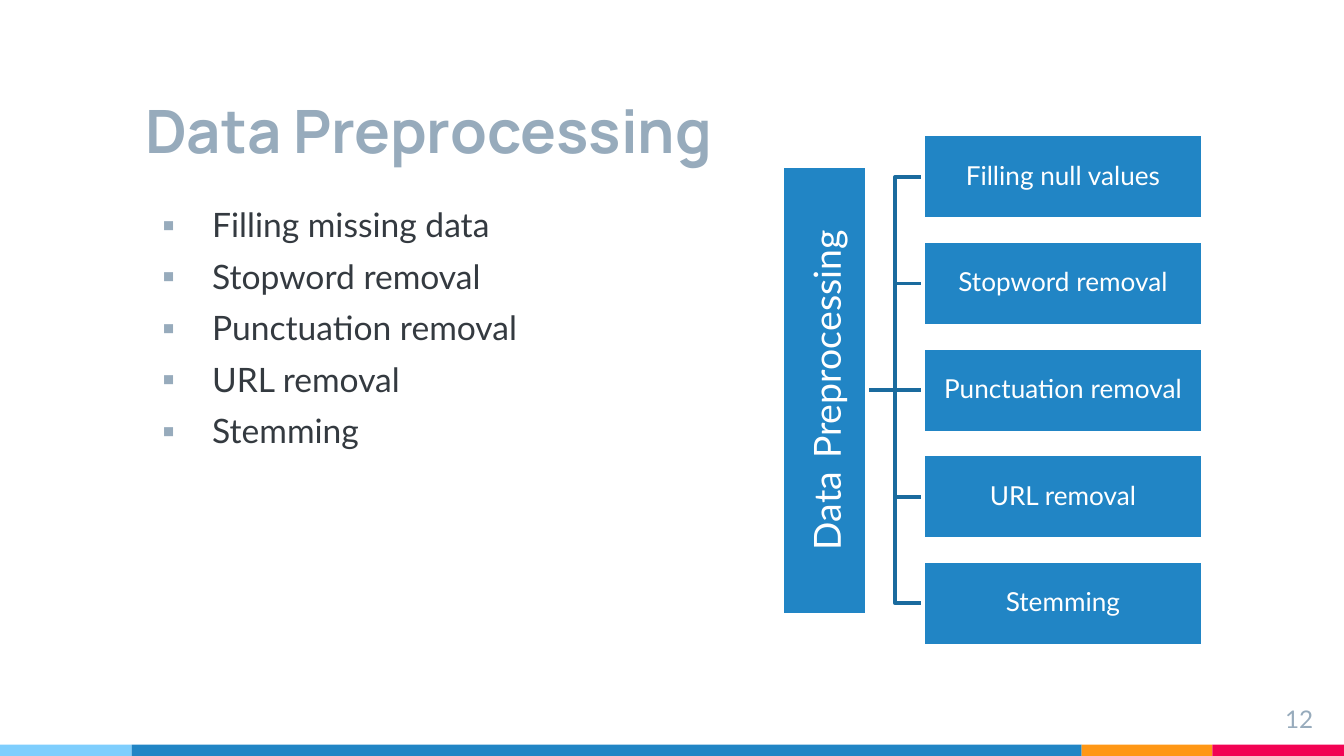
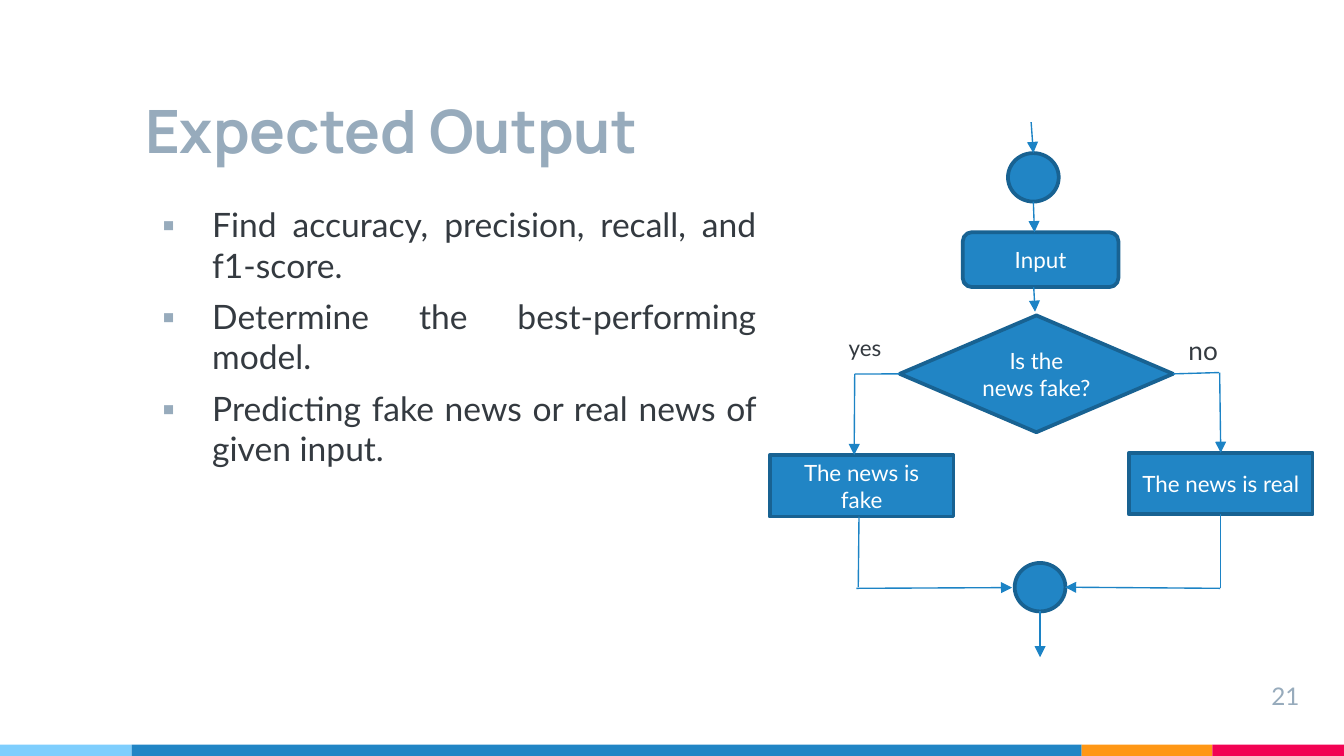
from dataclasses import dataclass
from typing import Optional

from lxml import etree
from pptx import Presentation
from pptx import util as u
from pptx.dml.color import RGBColor
from pptx.enum import shapes, text
from pptx.oxml.ns import qn

BLUE = RGBColor(0x21, 0x85, 0xC5)
TREE_BLUE = RGBColor(0x1A, 0x6B, 0x9E)
EDGE_BLUE = RGBColor(0x18, 0x62, 0x92)
ARROW_BLUE = RGBColor(0x1C, 0x83, 0xC5)
SKY = RGBColor(0x7E, 0xCE, 0xFD)
ORANGE = RGBColor(0xFF, 0x97, 0x15)
RED = RGBColor(0xF2, 0x02, 0x53)
GREY = RGBColor(0x97, 0xAB, 0xBC)
DARK = RGBColor(0x34, 0x3A, 0x40)
WHITE = RGBColor(0xFF, 0xFF, 0xFF)

TITLE_FONT, BODY_FONT = "Manrope", "Lato"
ALIGN, ANCHOR = text.PP_ALIGN, text.MSO_ANCHOR
KIND = shapes.MSO_SHAPE
TOP, LEFT, BOTTOM, RIGHT = range(4)

MARGIN, COLUMN_WIDTH = 70.5, 509
BANDS = ((SKY, 70.5), (BLUE, 509), (ORANGE, 70), (RED, 70.5))
BAND_TOP, BAND_HEIGHT = 399, 6

# Tree of preprocessing steps
STEP_LEFT, STEP_TOP, STEP_WIDTH, STEP_HEIGHT, STEP_PITCH = 494.6, 72.1, 149.8, 45.4, 57.1
TREE_LEFT, BAR_LENGTH = 464.4, 240.5


@dataclass(frozen=True)
class Box:
    left: float
    top: float
    width: float
    height: float


@dataclass(frozen=True)
class Node:
    name: str
    kind: KIND
    area: Box
    label: str = ""


@dataclass(frozen=True)
class Join:
    node: str
    site: int


@dataclass(frozen=True)
class Link:
    start: tuple[float, float]
    finish: tuple[float, float]
    arrow: bool = True
    begin: Optional[Join] = None
    end: Optional[Join] = None


@dataclass(frozen=True)
class Label:
    words: str
    area: Box
    size: float


NODES = (
    Node("entry", KIND.OVAL, Box(540, 82, 27.2, 26)),
    Node("input", KIND.ROUNDED_RECTANGLE, Box(515.8, 124.4, 83.4, 29.4), "Input"),
    Node("question", KIND.DIAMOND, Box(482, 169, 146.4, 62.6), "Is the news fake?"),
    Node("fake", KIND.RECTANGLE, Box(412.4, 243.8, 98.4, 33), "The news is fake"),
    Node("real", KIND.RECTANGLE, Box(604.8, 242.6, 98.4, 33), "The news is real"),
    Node("exit", KIND.OVAL, Box(543.6, 301.6, 27.2, 26)),
)
LINKS = (
    Link((552.4, 65.4), (553.6, 82), end=Join("entry", TOP)),
    Link((553.6, 108), (554.2, 124.4)),
    Link((553.8, 153.8), (554.5, 167)),
    Link((482, 200.3), (457.9, 200.4), False, begin=Join("question", LEFT)),
    Link((457.9, 200.4), (457.6, 243.8)),
    Link((653, 199.6), (628.4, 200.3), False, end=Join("question", RIGHT)),
    Link((653.4, 199.6), (654, 242.6), end=Join("real", TOP)),
    Link((459.8, 314.6), (460.2, 276.8), False),
    Link((458.8, 315.2), (542.2, 314.8)),
    Link((653.6, 315.2), (570.6, 314.6)),
    Link((654, 315.2), (654, 275.6), False, end=Join("real", BOTTOM)),
    Link((557.2, 327.6), (557.2, 352.1)),
)
LABELS = (
    Label("yes", Box(447.6, 175.2, 34, 21.8), 12),
    Label("no", Box(629.6, 175.7, 34, 24.2), 14),
)


def place(shape, area: Box) -> None:
    shape.left, shape.top = u.Pt(area.left), u.Pt(area.top)
    shape.width, shape.height = u.Pt(area.width), u.Pt(area.height)


def pad(frame, across: float, down: float) -> None:
    frame.margin_left = frame.margin_right = u.Pt(across)
    frame.margin_top = frame.margin_bottom = u.Pt(down)


def add_span(para, words: str, size: float, color: RGBColor,
             font: str = BODY_FONT, bold: bool = False) -> None:
    span = para.add_run()
    span.text = words
    span.font.size, span.font.name, span.font.bold = u.Pt(size), font, bold
    span.font.color.rgb = color


def add_block(page, kind: KIND, area: Box, fill: RGBColor,
              edge: Optional[RGBColor] = None):
    """Add a filled shape; it has a 2 pt outline only if an edge colour is given."""
    block = page.shapes.add_shape(kind, *map(u.Pt, (area.left, area.top, area.width, area.height)))
    block.shadow.inherit = False
    block.fill.solid()
    block.fill.fore_color.rgb = fill
    if edge is None:
        block.line.fill.background()
    else:
        block.line.color.rgb = edge
        block.line.width = u.Pt(2)
    return block


def center_text(block):
    """Prepare a shape for centred text and return its paragraph."""
    frame = block.text_frame
    frame.word_wrap = True
    frame.vertical_anchor = ANCHOR.MIDDLE
    para = frame.paragraphs[0]
    para.alignment = ALIGN.CENTER
    return para


def add_label(page, label: Label, color: RGBColor = DARK, align: ALIGN = ALIGN.LEFT):
    area = label.area
    box = page.shapes.add_textbox(*map(u.Pt, (area.left, area.top, area.width, area.height)))
    box.text_frame.word_wrap = True
    para = box.text_frame.paragraphs[0]
    para.alignment = align
    add_span(para, label.words, label.size, color)
    return box


def add_line(page, start: tuple[float, float], finish: tuple[float, float],
             color: RGBColor, width: float, arrow: bool = False):
    line = page.shapes.add_connector(shapes.MSO_CONNECTOR.STRAIGHT, *map(u.Pt, start + finish))
    line.line.color.rgb = color
    line.line.width = u.Pt(width)
    properties = line.element.spPr
    if arrow:
        etree.SubElement(properties.find(qn("a:ln")), qn("a:tailEnd"), type="triangle")
    etree.SubElement(properties, qn("a:effectLst"))
    return line


def add_bullet(para) -> None:
    properties = para._p.get_or_add_pPr()
    properties.set("marL", str(u.Pt(36)))
    properties.set("indent", str(u.Pt(-27)))
    color = etree.SubElement(properties, qn("a:buClr"))
    etree.SubElement(color, qn("a:srgbClr"), val=str(GREY))
    etree.SubElement(properties, qn("a:buFont"), typeface=BODY_FONT)
    etree.SubElement(properties, qn("a:buChar"), char="▪")


def add_page(deck, title: str, items: tuple[str, ...], body_width: float,
             align: ALIGN, number: Label):
    """Add a slide with colour bands, title, bulleted list and page number."""
    page = deck.slides.add_slide(deck.slide_layouts[1])
    left = 0
    for color, width in BANDS:
        add_block(page, KIND.RECTANGLE, Box(left, BAND_TOP, width, BAND_HEIGHT), color)
        left += width

    heading, body = page.shapes.title, page.placeholders[1]
    place(heading, Box(MARGIN, 28, COLUMN_WIDTH, 68))
    place(body, Box(MARGIN, 102.2, body_width, 279.4))
    for holder, anchor in ((heading, ANCHOR.BOTTOM), (body, ANCHOR.TOP)):
        frame = holder.text_frame
        frame.auto_size = text.MSO_AUTO_SIZE.NONE
        frame.word_wrap = True
        frame.vertical_anchor = anchor
        pad(frame, 7.2, 7.2)

    para = heading.text_frame.paragraphs[0]
    para.alignment = ALIGN.LEFT
    add_span(para, title, 32, GREY, TITLE_FONT, bold=True)

    frame = body.text_frame
    for index, item in enumerate(items):
        para = frame.add_paragraph() if index else frame.paragraphs[0]
        para.alignment = align
        para.space_before = u.Pt(6)
        add_bullet(para)
        add_span(para, item, 18, DARK)

    pad(add_label(page, number, GREY, ALIGN.RIGHT).text_frame, 7.2, 7.2)
    return page


def add_elbow(page, start: tuple[float, float], finish: tuple[float, float]) -> None:
    middle = (start[0] + finish[0]) / 2
    corners = ((middle, start[1]), (middle, finish[1]), finish)
    builder = page.shapes.build_freeform(*map(u.Pt, start))
    builder.add_line_segments([tuple(map(u.Pt, corner)) for corner in corners], close=False)
    elbow = builder.convert_to_shape()
    elbow.shadow.inherit = False
    elbow.fill.background()
    elbow.line.color.rgb = TREE_BLUE
    elbow.line.width = u.Pt(2)


def add_step_tree(page, steps: tuple[str, ...]) -> None:
    centers = [STEP_TOP + STEP_HEIGHT / 2 + index * STEP_PITCH for index in range(len(steps))]
    middle = len(steps) // 2
    root = (TREE_LEFT, centers[middle])
    for index, center in enumerate(centers):
        if index != middle:
            add_elbow(page, root, (STEP_LEFT, center))
    trunk = add_line(page, root, (STEP_LEFT, root[1]), TREE_BLUE, 2)

    bar_center = TREE_LEFT - STEP_HEIGHT / 2
    bar = add_block(page, KIND.RECTANGLE,
                    Box(bar_center - BAR_LENGTH / 2, root[1] - STEP_HEIGHT / 2,
                        BAR_LENGTH, STEP_HEIGHT), BLUE, WHITE)
    bar.rotation = 270
    pad(bar.text_frame, 0.9, 0.9)
    para = center_text(bar)
    para.line_spacing = 0.9
    for words, size in (("Data", 20), (" ", 27), ("Preprocessing", 20)):
        add_span(para, words, size, WHITE)

    for index, (step, center) in enumerate(zip(steps, centers)):
        block = add_block(page, KIND.RECTANGLE,
                          Box(STEP_LEFT, center - STEP_HEIGHT / 2, STEP_WIDTH, STEP_HEIGHT),
                          BLUE, WHITE)
        pad(block.text_frame, 0.9, 0.9)
        para = center_text(block)
        para.line_spacing = 0.9
        add_span(para, step, 14, WHITE)
        if index == middle:
            trunk.end_connect(block, LEFT)


def add_flowchart(page) -> None:
    blocks = {}
    for node in NODES:
        block = blocks[node.name] = add_block(page, node.kind, node.area, BLUE, EDGE_BLUE)
        if node.label:
            add_span(center_text(block), node.label, 12, WHITE)
    for link in LINKS:
        line = add_line(page, link.start, link.finish, ARROW_BLUE, 0.75, link.arrow)
        if link.begin:
            line.begin_connect(blocks[link.begin.node], link.begin.site)
        if link.end:
            line.end_connect(blocks[link.end.node], link.end.site)
    for label in LABELS:
        add_label(page, label)


def main() -> None:
    deck = Presentation()
    deck.slide_width, deck.slide_height = u.Pt(720), u.Pt(405)

    later_steps = ("Stopword removal", "Punctuation removal", "URL removal", "Stemming")
    page = add_page(deck, "Data Preprocessing", ("Filling missing data", *later_steps),
                    COLUMN_WIDTH, ALIGN.LEFT, Label("12", Box(667.4, 370, 43.2, 24.8), 13))
    add_step_tree(page, ("Filling null values", *later_steps))

    goals = ("Find accuracy, precision, recall, and f1-score.",
             "Determine the best-performing model.",
             "Predicting fake news or real news of given input.")
    page = add_page(deck, "Expected Output", goals, 342, ALIGN.JUSTIFY,
                    Label("21", Box(660, 357.6, 43.2, 24.8), 13))
    add_flowchart(page)
    deck.save("out.pptx")


if __name__ == "__main__":
    main()
